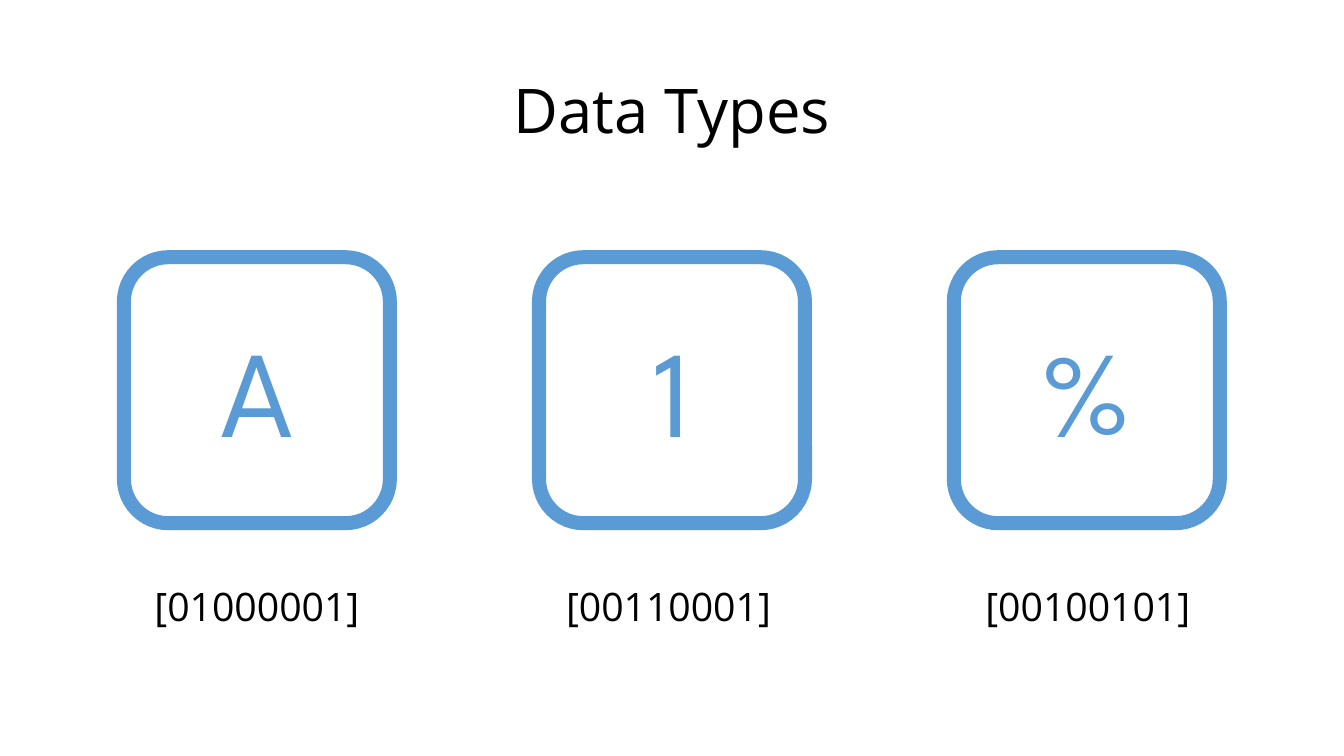
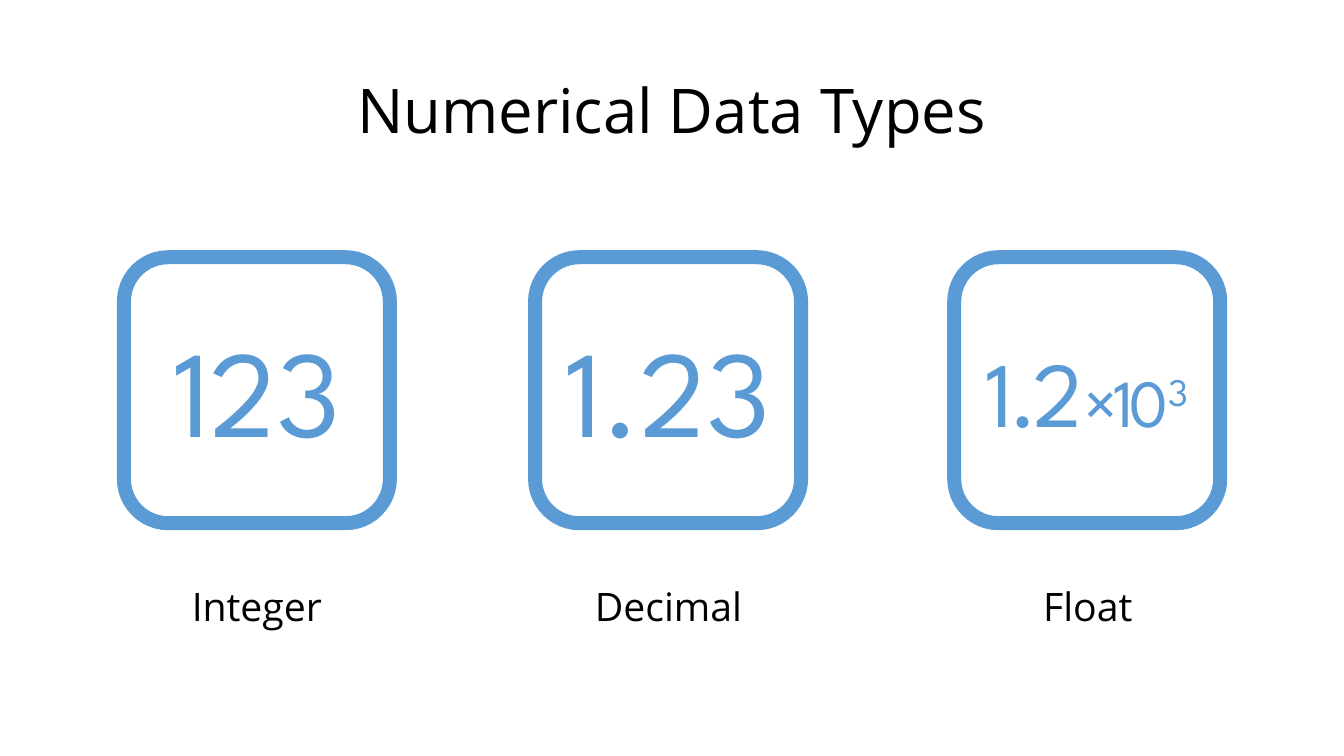
from dataclasses import dataclass

from pptx import Presentation
from pptx.dml.color import RGBColor
from pptx.enum.shapes import MSO_SHAPE
from pptx.enum.text import MSO_ANCHOR, PP_ALIGN
from pptx.util import Pt

ROUND = MSO_SHAPE.ROUNDED_RECTANGLE
TOP, MIDDLE = MSO_ANCHOR.TOP, MSO_ANCHOR.MIDDLE
CENTER = PP_ALIGN.CENTER


@dataclass(frozen=True)
class Theme:
    """Colours, fonts and type sizes shared by the slides."""
    ink: RGBColor = RGBColor(0x00, 0x00, 0x00)
    blue: RGBColor = RGBColor(0x5B, 0x9B, 0xD5)
    body: str = "Open Sans"
    sign: str = "League Spartan"
    title: int = 44
    label: int = 28
    big: int = 88
    mid: int = 66
    small: int = 48
    border: int = 10


theme = Theme()


def add_text(shapes, frame, runs, font, color, anchor, before=10):
    """Add a centred text box; each run is (text, size, attributes)."""
    box = shapes.add_textbox(*(Pt(n) for n in frame))
    text = box.text_frame
    text.word_wrap = True
    text.vertical_anchor = anchor
    para = text.paragraphs[0]
    para.alignment = CENTER
    para.line_spacing = 0.9
    para.space_before = Pt(before)
    for words, size, extra in runs:
        run = para.add_run()
        run.text = words
        run.font.name = font
        run.font.size = Pt(size)
        run.font.color.rgb = color
        for key, value in extra.items():
            run.font._element.set(key, value)


def add_tile(slide, left, runs):
    """Add a grouped sign inside a rounded outline."""
    shapes = slide.shapes.add_group_shape().shapes
    add_text(shapes, (left, TILE_TOP + 10, TILE, TILE - 10), runs,
             theme.sign, theme.blue, MIDDLE)
    tile = shapes.add_shape(ROUND, Pt(left), Pt(TILE_TOP), Pt(TILE), Pt(TILE))
    tile.shadow.inherit = False
    tile.fill.background()
    tile.line.color.rgb = theme.blue
    tile.line.width = Pt(theme.border)


TILE, TILE_TOP = 190, 183.7
TITLE = (66, 28.8, 828, 104.4)
LABELS = (66, 360, 659.5)
TIGHT = {"spc": "-300"}
RAISED = {"spc": "-300", "baseline": "30000"}

# Each slide: title, tile lefts, then (sign runs, label) per column
SLIDES = [
    ("Data Types", (88.5, 385, 681.3), [
        ([("A", theme.big, {})], "[01000001]"),
        ([("1", theme.big, {})], "[00110001]"),
        ([("%", theme.big, {})], "[00100101]"),
    ]),
    ("Numerical Data Types", (88.5, 382.2, 681.6), [
        ([("123", theme.big, {})], "Integer"),
        ([("1.23", theme.big, {})], "Decimal"),
        ([("1.2", theme.mid, TIGHT), ("×10", theme.small, TIGHT),
          ("3", theme.small, RAISED)], "Float"),
    ]),
]

deck = Presentation()
deck.slide_width, deck.slide_height = Pt(960), Pt(540)
blank = deck.slide_layouts[6]

for title, lefts, columns in SLIDES:
    slide = deck.slides.add_slide(blank)
    add_text(slide.shapes, TITLE, [(title, theme.title, {})],
             theme.body, theme.ink, MIDDLE, before=0)
    for left, spot, (runs, label) in zip(lefts, LABELS, columns):
        add_text(slide.shapes, (spot, 416.2, 235, 64.8),
                 [(label, theme.label, {})], theme.body, theme.ink, TOP)
        add_tile(slide, left, runs)

deck.save("out.pptx")
